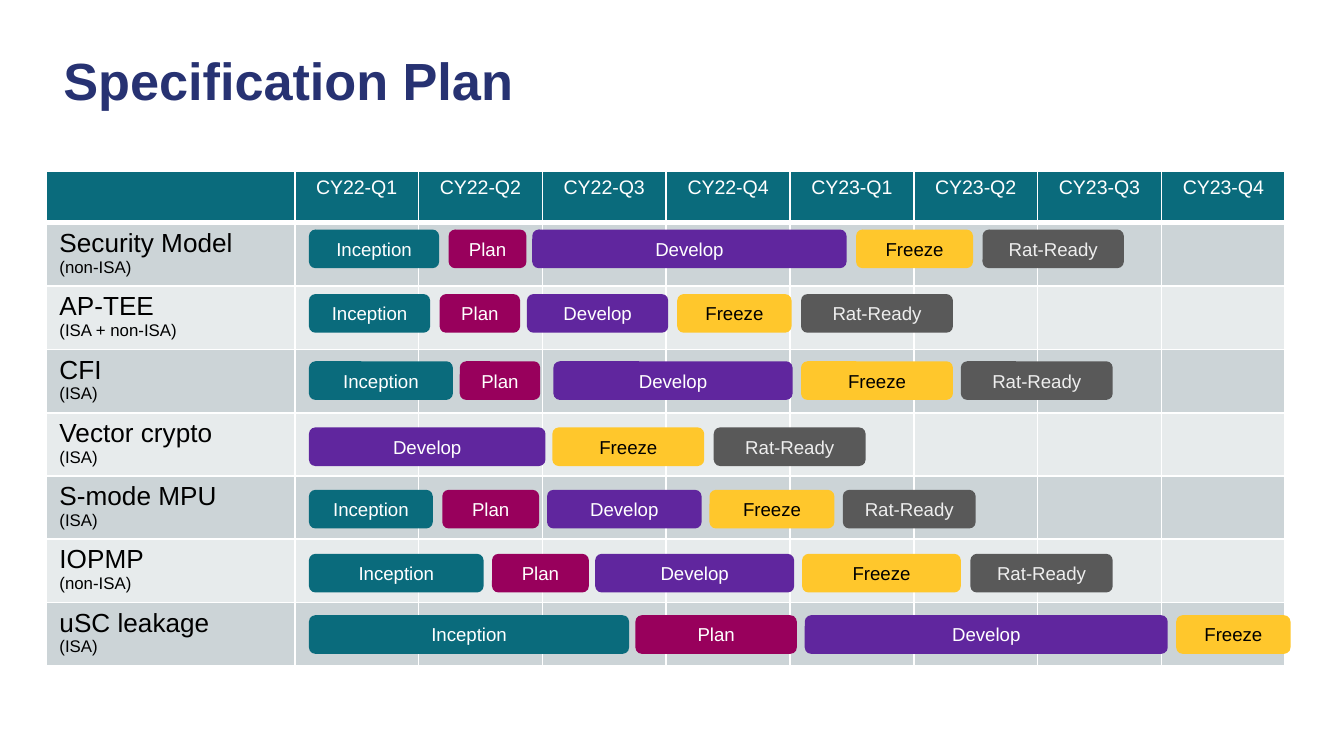
from lxml import etree
from pptx import Presentation
from pptx.dml.color import RGBColor
from pptx.enum.shapes import MSO_SHAPE
from pptx.enum.text import MSO_ANCHOR, PP_ALIGN
from pptx.oxml.ns import qn
from pptx.util import Cm, Pt

LEFT, CENTER = PP_ALIGN.LEFT, PP_ALIGN.CENTER
MIDDLE = MSO_ANCHOR.MIDDLE
ROUNDED = MSO_SHAPE.ROUNDED_RECTANGLE

NAVY = RGBColor(0x27, 0x32, 0x72)
TEAL = RGBColor(0x0A, 0x6B, 0x7C)
PLUM = RGBColor(0x98, 0x00, 0x5C)
PURPLE = RGBColor(0x60, 0x26, 0x9E)
YELLOW = RGBColor(0xFF, 0xC7, 0x2C)
GRAY = RGBColor(0x59, 0x59, 0x59)
PALE = RGBColor(0xEE, 0xEE, 0xEE)
BAND_DARK = RGBColor(0xCC, 0xD4, 0xD7)
BAND_LIGHT = RGBColor(0xE7, 0xEB, 0xEC)
BLACK = RGBColor(0, 0, 0)
WHITE = RGBColor(0xFF, 0xFF, 0xFF)

# Content: lengths in cm
TITLE = "Specification Plan"
QUARTERS = [f"CY{year}-Q{quarter}" for year in (22, 23) for quarter in range(1, 5)]
PHASES = {  # name: (fill, text colour)
    "Inception": (TEAL, WHITE),
    "Plan": (PLUM, WHITE),
    "Develop": (PURPLE, WHITE),
    "Freeze": (YELLOW, BLACK),
    "Rat-Ready": (GRAY, PALE),
}
# name, kind, top of the bars, first phase, (left, width) of each phase in order
SPECS = [
    ("Security Model", "(non-ISA)", 4.34, 0,
     [(5.84, 2.46), (8.48, 1.47), (10.06, 5.94), (16.18, 2.21), (18.57, 2.67)]),
    ("AP-TEE", "(ISA + non-ISA)", 5.56, 0,
     [(5.84, 2.29), (8.31, 1.52), (9.96, 2.67), (12.8, 2.16), (15.14, 2.87)]),
    ("CFI", "(ISA)", 6.83, 0,
     [(5.84, 2.72), (8.69, 1.52), (10.46, 4.52), (15.14, 2.87), (18.16, 2.87)]),
    ("Vector crypto", "(ISA)", 8.08, 2,
     [(5.84, 4.47), (10.44, 2.87), (13.49, 2.87)]),
    ("S-mode MPU", "(ISA)", 9.26, 0,
     [(5.84, 2.34), (8.36, 1.83), (10.34, 2.92), (13.41, 2.36), (15.93, 2.51)]),
    ("IOPMP", "(non-ISA)", 10.47, 0,
     [(5.84, 3.3), (9.3, 1.83), (11.25, 3.76), (15.16, 3), (18.34, 2.69)]),
    ("uSC leakage", "(ISA)", 11.63, 0,
     [(5.84, 6.05), (12.01, 3.05), (15.21, 6.86), (22.23, 2.16)]),
]

TABLE_LEFT, TABLE_TOP = 0.87, 3.23
NAME_WIDTH, QUARTER_WIDTH = 4.7, 2.34
HEADER_HEIGHT, ROW_HEIGHT = 0.86, 1.16
BAR_HEIGHT = 0.73


def write(para, text, size=10, color=BLACK, bold=False, align=LEFT):
    para.alignment = align
    span = para.add_run()
    span.text = text
    span.font.name = "Arial"
    span.font.size = Pt(size)
    span.font.bold = bold
    span.font.color.rgb = color


def style_cell(cell, fill, bottom=1):
    cell.margin_top = cell.margin_bottom = Cm(0.11)
    props = cell._tc.get_or_add_tcPr()
    for side, points in (("L", 1), ("R", 1), ("T", 1), ("B", bottom)):
        line = etree.SubElement(props, qn(f"a:ln{side}"), w=str(Pt(points)))
        paint = etree.SubElement(line, qn("a:solidFill"))
        etree.SubElement(paint, qn("a:srgbClr"), val=str(WHITE))
    cell.fill.solid()
    cell.fill.fore_color.rgb = fill


def add_title(page):
    box = page.shapes.add_textbox(Cm(1.02), Cm(0.61), Cm(22.28), Cm(1.9))
    frame = box.text_frame
    frame.word_wrap = True
    frame.vertical_anchor = MIDDLE
    frame.margin_left = frame.margin_right = Cm(0.18)
    frame.margin_top = frame.margin_bottom = Cm(0.1)
    frame.paragraphs[0].line_spacing = 0.95
    write(frame.paragraphs[0], TITLE, size=28, color=NAVY, bold=True)


def add_schedule(page):
    widths = [NAME_WIDTH] + [QUARTER_WIDTH] * len(QUARTERS)
    heights = [HEADER_HEIGHT] + [ROW_HEIGHT] * len(SPECS)
    table = page.shapes.add_table(
        len(heights), len(widths), Cm(TABLE_LEFT), Cm(TABLE_TOP),
        Cm(sum(widths)), Cm(sum(heights))).table
    for column, width in zip(table.columns, widths):
        column.width = Cm(width)
    for row, height in zip(table.rows, heights):
        row.height = Cm(height)

    # Header row
    for cell in table.rows[0].cells:
        style_cell(cell, TEAL, bottom=3)
    for index, quarter in enumerate(QUARTERS, 1):
        write(table.cell(0, index).text_frame.paragraphs[0], quarter,
              size=10.5, color=WHITE, align=CENTER)

    # One banded row for each specification
    for index, (name, kind, *_) in enumerate(SPECS, 1):
        for cell in table.rows[index].cells:
            style_cell(cell, BAND_DARK if index % 2 else BAND_LIGHT)
        frame = table.cell(index, 0).text_frame
        write(frame.paragraphs[0], name, size=14)
        write(frame.add_paragraph(), kind, size=9)


def add_bar(page, phase, left, top, width):
    fill, color = PHASES[phase]
    bar = page.shapes.add_shape(ROUNDED, Cm(left), Cm(top), Cm(width), Cm(BAR_HEIGHT))
    bar.shadow.inherit = False
    bar.fill.solid()
    bar.fill.fore_color.rgb = fill
    bar.line.fill.background()
    bar.text_frame.vertical_anchor = MIDDLE
    write(bar.text_frame.paragraphs[0], phase, color=color, align=CENTER)


def main():
    deck = Presentation()
    deck.slide_width, deck.slide_height = Cm(25.4), Cm(14.29)
    page = deck.slides.add_slide(deck.slide_layouts[6])
    add_title(page)
    add_schedule(page)
    for _, _, top, first, spans in SPECS:
        for phase, (left, width) in zip(list(PHASES)[first:], spans):
            add_bar(page, phase, left, top, width)
    deck.save("out.pptx")


if __name__ == "__main__":
    main()
